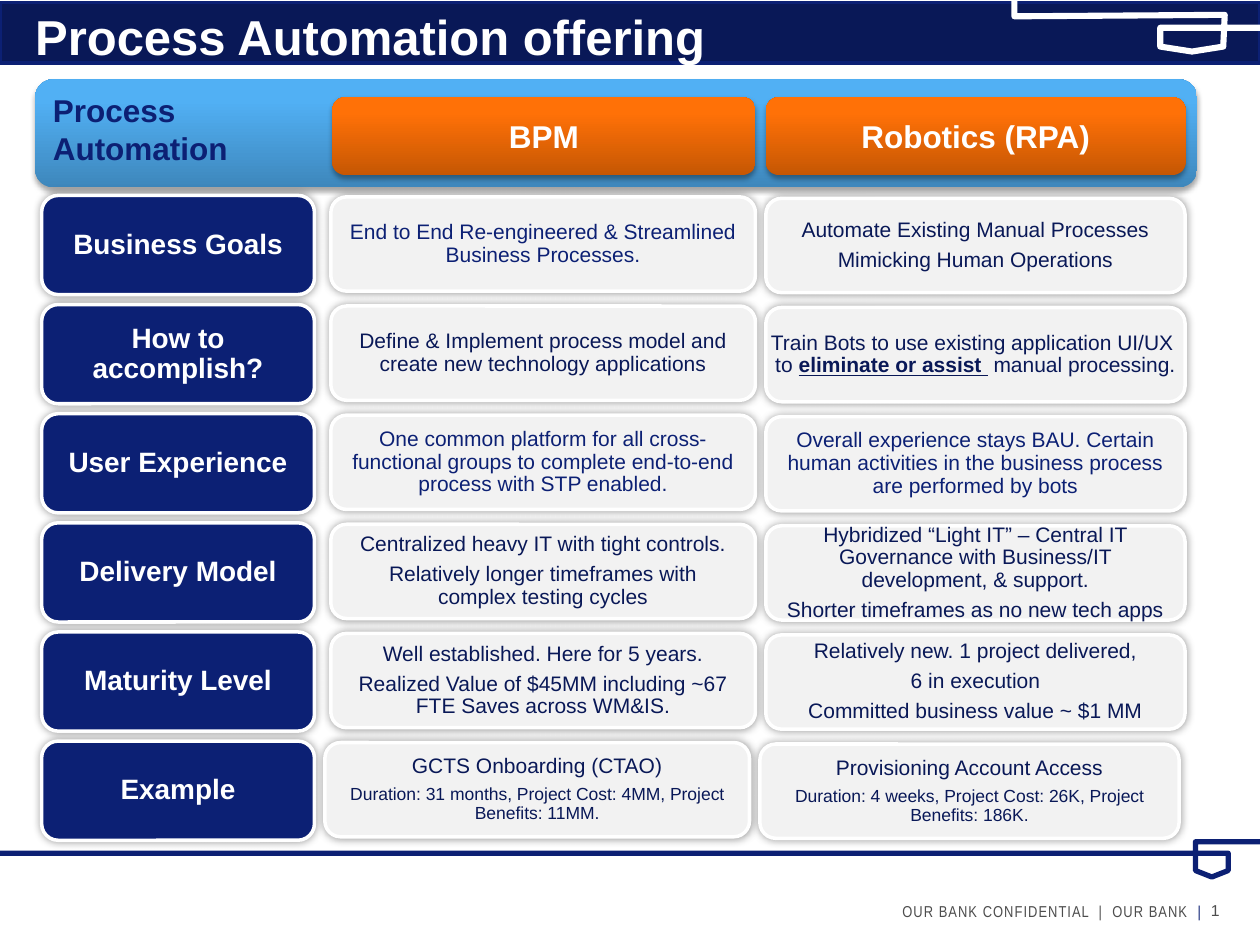
from lxml import etree
from pptx import Presentation
from pptx.dml.color import RGBColor
from pptx.enum.shapes import MSO_SHAPE
from pptx.enum.text import MSO_ANCHOR, MSO_AUTO_SIZE, PP_ALIGN
from pptx.oxml.ns import qn
from pptx.util import Cm, Pt

ROUNDED, RECTANGLE = MSO_SHAPE.ROUNDED_RECTANGLE, MSO_SHAPE.RECTANGLE
TOP, MIDDLE, BOTTOM = MSO_ANCHOR.TOP, MSO_ANCHOR.MIDDLE, MSO_ANCHOR.BOTTOM
LEFT, CENTER, RIGHT = PP_ALIGN.LEFT, PP_ALIGN.CENTER, PP_ALIGN.RIGHT

COLORS = {
    "navy": "0C2074", "ink": "091857", "white": "FFFFFF", "cell": "F2F2F2", "gray": "4D4D4D",
    "blue": "51B0F4", "deep blue": "3E87BC", "orange": "FF7107", "deep orange": "C65704",
    "black": "000000",
}

TITLE = "Process Automation offering"
HEADERS = [
    (["Process", "Automation"], (0.71, 1.6, 23.42, 2.18), "blue", "navy", LEFT, TOP),
    (["BPM"], (6.7, 1.96, 8.53, 1.57), "orange", "white", CENTER, MIDDLE),
    (["Robotics (RPA)"], (15.44, 1.96, 8.46, 1.57), "orange", "white", CENTER, MIDDLE),
]
ROWS = [
    ("Business Goals",
     ["End to End Re-engineered & Streamlined Business Processes."], "navy",
     ["Automate Existing Manual Processes", "Mimicking Human Operations"], "ink"),
    ("How to accomplish?",
     ["Define & Implement process model and create new technology applications"], "ink",
     [[("Train Bots to use existing application UI/UX  to ", {}),
       ("eliminate or assist ", {"bold": True, "underline": True}),
       (" manual processing.", {})]], "ink"),
    ("User Experience",
     ["One common platform for all cross-functional groups to complete end-to-end process "
      "with STP enabled."], "navy",
     ["Overall experience stays BAU. Certain human activities in the business process "
      "are performed by bots"], "navy"),
    ("Delivery Model",
     ["Centralized heavy IT with tight controls.",
      "Relatively longer timeframes with complex testing cycles"], "ink",
     ["Hybridized “Light IT” – Central IT Governance with Business/IT development, & support.",
      "Shorter timeframes as no new tech apps"], "ink"),
    ("Maturity Level",
     ["Well established. Here for 5 years.",
      "Realized Value of $45MM including ~67 FTE Saves across WM&IS."], "ink",
     ["Relatively new. 1 project delivered,", "6 in execution",
      "Committed business value ~ $1 MM"], "ink"),
    ("Example",
     ["GCTS Onboarding (CTAO)",
      [("Duration: 31 months, Project Cost: 4MM, Project Benefits: 11MM.", {"size": Pt(10)})]],
     "ink",
     ["Provisioning Account Access",
      [("Duration: 4 weeks, Project Cost: 26K, Project Benefits: 186K.", {"size": Pt(10)})]],
     "ink"),
]
ROW_TOP, ROW_PITCH = 3.94, 2.2
LABEL_COLUMN = (0.84, 0, 5.5, 2)
BPM_COLUMN = (6.67, 0.03, 8.56, 1.9)
ROBOTICS_COLUMN = (15.44, 0.06, 8.45, 1.9)
EXAMPLE_SHIFT = -0.12

FOOTER_LINE = [(25.4, 16.97), (24.1, 16.97), (24.1, 17.55), (24.43, 17.68), (24.76, 17.55),
               (24.76, 17.2), (0, 17.2)]
BANNER_LINE = [(20.45, 0), (20.45, 0.33), (24.69, 0.3), (24.66, 0.94), (24.03, 1.04),
               (23.39, 0.94), (23.39, 0.56), (25.4, 0.56)]
HEADER_SHADOW = {"alpha": 35, "blur": 3.1, "distance": 1.8}
CELL_SHADOW = {"alpha": 40, "blur": 5, "distance": 0}


def color(name):
    return RGBColor.from_string(COLORS[name])


def set_values(target, values):
    for name, value in values.items():
        setattr(target, name, value)


def set_font(font, values):
    for name, value in values.items():
        if name == "color":
            font.color.rgb = color(value)
        else:
            setattr(font, name, value)


def write(shape, paragraphs, font, frame_format, paragraph_format):
    frame = shape.text_frame
    set_values(frame, {"word_wrap": True, "auto_size": MSO_AUTO_SIZE.NONE, **frame_format})
    for index, runs in enumerate(paragraphs):
        paragraph = frame.add_paragraph() if index else frame.paragraphs[0]
        set_values(paragraph, paragraph_format)
        for text, extra in [(runs, {})] if isinstance(runs, str) else runs:
            run = paragraph.add_run()
            run.text = text
            set_font(run.font, {"name": "Arial", **font, **extra})


def margins(horizontal, vertical):
    return {"margin_left": Cm(horizontal), "margin_right": Cm(horizontal),
            "margin_top": Cm(vertical), "margin_bottom": Cm(vertical)}


def add_shadow(shape, alpha, blur, distance):
    effects = shape.element.spPr.find(qn("a:effectLst"))
    shadow = etree.SubElement(effects, qn("a:outerShdw"), blurRad=str(Pt(blur)),
                              dist=str(Pt(distance)), dir="5400000", rotWithShape="0")
    tint = etree.SubElement(shadow, qn("a:srgbClr"), val=COLORS["black"])
    etree.SubElement(tint, qn("a:alpha"), val=str(alpha * 1000))


def add_box(slide, kind, box, fill=None, line=None):
    shape = slide.shapes.add_shape(kind, *map(Cm, box))
    shape.shadow.inherit = False
    if fill:
        shape.fill.solid()
        shape.fill.fore_color.rgb = color(fill)
    if line:
        shape.line.color.rgb = color(line)
        shape.line.width = Pt(2)
    else:
        shape.line.fill.background()
    return shape


def add_header(slide, lines, box, fill, text_color, alignment, anchor):
    shape = add_box(slide, ROUNDED, box)
    shape.fill.gradient()
    shape.fill.gradient_angle = 90
    for stop, name, position in zip(shape.fill.gradient_stops, ("deep " + fill, fill), (0, 0.8)):
        stop.color.rgb = color(name)
        stop.position = position
    add_shadow(shape, **HEADER_SHADOW)
    write(shape, lines, {"size": Pt(18), "bold": True, "color": text_color},
          {"vertical_anchor": anchor}, {"alignment": alignment})


def add_cell(slide, column, row, paragraphs, fill, font, inset):
    left, offset, width, height = column
    box = (left, ROW_TOP + row * ROW_PITCH + offset, width, height)
    shape = add_box(slide, ROUNDED, box, fill, "white")
    add_shadow(shape, **CELL_SHADOW)
    write(shape, paragraphs, font, {"vertical_anchor": MIDDLE, **margins(*inset)},
          {"alignment": CENTER, "line_spacing": 0.9, "space_after": Pt(4.2)})


def add_outline(slide, points, name, width):
    corners = [(Cm(x), Cm(y)) for x, y in points]
    builder = slide.shapes.build_freeform(*corners[0])
    builder.add_line_segments(corners[1:], close=False)
    shape = builder.convert_to_shape()
    shape.shadow.inherit = False
    shape.fill.background()
    shape.line.color.rgb = color(name)
    shape.line.width = Pt(width)


def add_footer(slide):
    frame_format = {"vertical_anchor": BOTTOM, **margins(0, 0)}
    font = {"size": Pt(9), "color": "gray"}
    number = slide.shapes.add_textbox(Cm(24.41), Cm(18.06), Cm(0.99), Cm(0.48))
    write(number, ["1"], font, frame_format, {})
    run = number.text_frame.paragraphs[0].runs[0]._r
    run.tag = qn("a:fld")
    run.set("id", "{B6F15528-21DE-4FAA-801E-634DDDAF4B2B}")
    run.set("type", "slidenum")
    notice = slide.shapes.add_textbox(Cm(4.01), Cm(18.06), Cm(20.2), Cm(0.51))
    write(notice, [[("OUR BANK CONFIDENTIAL  |  OUR BANK", {}), ("  |", {"color": "navy"})]],
          {**font, "name": "Arial Narrow"}, frame_format, {"alignment": RIGHT})
    for run in notice.text_frame.paragraphs[0].runs:
        run.font._element.set("spc", "60")


def main():
    presentation = Presentation()
    presentation.slide_width, presentation.slide_height = Cm(25.4), Cm(19.05)
    slide = presentation.slides.add_slide(presentation.slide_layouts[5])
    add_footer(slide)
    add_outline(slide, FOOTER_LINE, "navy", 3)
    for header in HEADERS:
        add_header(slide, *header)
    for row, (label, bpm, bpm_color, robotics, robotics_color) in enumerate(ROWS):
        add_cell(slide, LABEL_COLUMN, row, [label], "navy",
                 {"size": Pt(16), "bold": True, "color": "white"}, (0.1, 0.08))
        shift = EXAMPLE_SHIFT if label == "Example" else 0
        inset = (0, 0) if row < 2 else (0.25, 0.13)
        for column, paragraphs, text_color, cell_inset in (
                (BPM_COLUMN, bpm, bpm_color, (0.25, 0.13)),
                (ROBOTICS_COLUMN, robotics, robotics_color, inset)):
            add_cell(slide, (column[0] + shift, *column[1:]), row, paragraphs, "cell",
                     {"size": Pt(12), "color": text_color}, cell_inset)
    add_box(slide, RECTANGLE, (0, 0.05, 25.4, 1.22), "ink", "navy")
    add_outline(slide, BANNER_LINE, "white", 3.5)
    title = slide.shapes.title
    set_values(title, {"left": Cm(0.71), "top": Cm(0.13), "width": Cm(17.93), "height": Cm(1.02)})
    write(title, [TITLE], {"size": Pt(28), "bold": True, "color": "white"},
          {"vertical_anchor": TOP, **margins(0, 0)}, {"alignment": LEFT})
    title.element.getparent().append(title.element)
    presentation.save("out.pptx")


if __name__ == "__main__":
    main()
